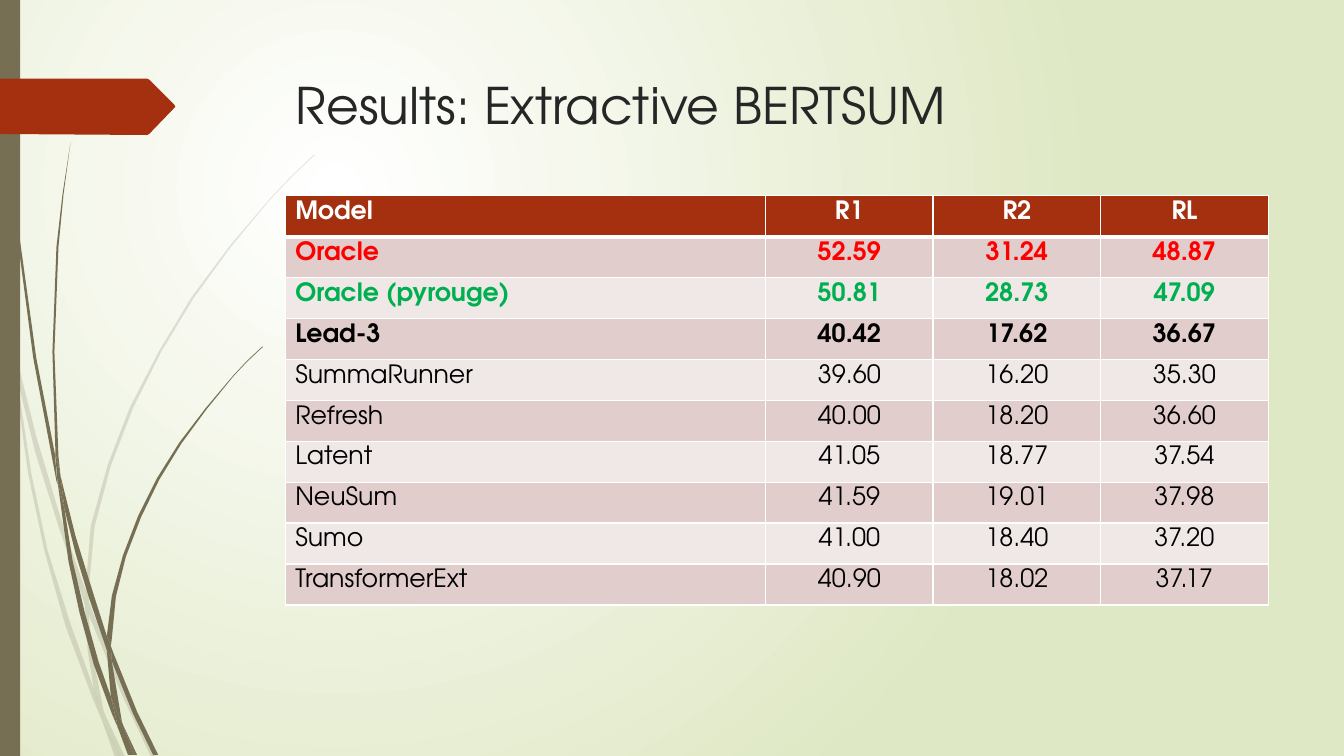
import dataclasses

import pptx
import pptx.dml.color
import pptx.enum.shapes
import pptx.enum.text
import pptx.oxml
import pptx.oxml.ns
import pptx.util

SHAPE = pptx.enum.shapes.MSO_SHAPE
ALIGN = pptx.enum.text.PP_ALIGN
ANCHOR = pptx.enum.text.MSO_ANCHOR
SIDE = pptx.util.Inches(0.1)  # one grid cell
COLS, ROWS = 133.33, 75


@dataclasses.dataclass(frozen=True)
class Theme:
    font: str = "TeX Gyre Adventor"
    title: int = 36
    body: int = 18
    ink: str = "262626"
    black: str = "000000"
    white: str = "FFFFFF"
    leaf: str = "DFE8C4"
    stem: str = "766F54"
    rust: str = "A53010"
    red: str = "FF0000"
    green: str = "00B050"
    bands: tuple = ("E1CDCC", "F0E8E7")


THEME = Theme()

# Each grass part is an outline: column, row, column, row, ... in grid cells.
PALE = [
    (1.1, 35, .9, 32.2, 0, 28.2, 0, 29.9, 1, 34.4),
    (5.8, 52.2, 8.4, 59.9, 8.5, 58.6, 6.2, 52, 3.6, 43.3, 1.4, 34.5,
     1.7, 37.6, 3.5, 44.9),
    (9.2, 60.7, 8.8, 59.6, 8.8, 61, 12.3, 69.4, 15, 75.1, 15.5, 75.1,
     12.7, 69.2),
    (11.9, 75.1, 12.4, 75.1, 10.5, 71.1),
    (9.3, 68.3, 7, 61.9, 4.7, 54.5, 3.1, 46.9, 1.7, 37.6, 1.1, 35, 2.8, 47,
     4.4, 54.6, 6.5, 62.1, 9.2, 69.3, 10.1, 71.4, 9.9, 70.7),
    (8.4, 59.9, 8.7, 64.6, 9.3, 68.3, 9.6, 69.2, 10.5, 71.1, 10.3, 70.6,
     9.1, 64.6, 8.8, 61, 8.8, 60.8),
    (8.8, 58.4, 9.4, 52.2, 11, 46.2, 13.2, 40.5, 16, 34.9, 19.2, 29.6,
     22.9, 24.5, 26.8, 19.8, 29, 17.5, 31.2, 15.4, 31.2, 15.3, 28.9, 17.5,
     26.8, 19.7, 22.8, 24.4, 19, 29.5, 15.8, 34.8, 12.9, 40.4, 10.7, 46.1,
     9, 52.2, 8.5, 58.4, 8.5, 58.6, 8.8, 59.6),
    (10.1, 71.4, 11.4, 75.1, 11.9, 75.1),
    (8.8, 60.8, 8.8, 61, 8.8, 59.6, 8.5, 58.6, 8.4, 59.9),
    (9.6, 69.2, 9.3, 68.3, 9.9, 70.7, 10.1, 71.4, 11.9, 75.1, 10.5, 71.1),
]
DARK = [
    (.7, 11, 1.7, 23.3, 3.3, 35.5, 5.6, 47.7, 5.7, 48.1, 5.5, 45.7, 5.5, 45.3,
     3.6, 35.5, 1.9, 23.2, .8, 10.9, .5, 4.8, .4, 0, .3, 0, .4, 4.8),
    (8.8, 59.2, 10.6, 64.5, 10.6, 63.1, 9.3, 59, 7.5, 53.2, 6, 47.2,
     6.4, 50.5, 7.5, 54.9),
    (11.3, 64.9, 11, 64.1, 11.1, 65.6, 13.2, 70.8, 15.2, 74.9, 15.7, 74.9,
     13.6, 70.6),
    (11, 69.1, 9.8, 65.7, 8.4, 60.7, 7.2, 55.6, 6.4, 50.5, 5.7, 47.7,
     6.8, 55.7, 7.9, 60.8, 9.3, 65.9, 11.1, 70.8, 11.7, 72.2, 11.6, 71.7),
    (6, 47.2, 5.8, 45.3, 5.4, 34.9, 5.8, 24.5, 6.3, 19.3, 7, 14.1, 6.2, 19.3,
     5.6, 24.5, 5.2, 34.9, 5.5, 44.9),
    (13.3, 74.9, 13.6, 74.9, 12.2, 71.9),
    (5.7, 47.7, 6.4, 50.5, 6, 47.2, 5.5, 44.9, 5.5, 45.3),
    (11.1, 63.3, 11.5, 59.2, 12.5, 55.2, 14, 51.3, 15.8, 47.6, 18, 44,
     20.5, 40.6, 23.1, 37.4, 24.5, 35.9, 26.1, 34.4, 26, 34.4, 24.5, 35.8,
     23.1, 37.3, 20.4, 40.5, 17.8, 43.9, 15.6, 47.4, 13.7, 51.2, 12.2, 55.1,
     11.1, 59.1, 10.6, 63.1, 11, 64.1),
    (11.7, 72.2, 12.7, 74.9, 13.1, 74.9),
    (10.6, 64.5, 11, 69.1, 11.6, 70.6, 12.2, 71.9, 12.1, 71.6, 11.1, 65.6,
     10.9, 65.1),
    (10.6, 64.5, 10.9, 65.1, 11.1, 65.6, 11, 64.1, 10.6, 63.1),
    (11.6, 70.6, 11, 69.1, 11.6, 71.7, 11.7, 72.2, 13, 74.9, 13.3, 74.9,
     12.2, 71.9),
]
TAG = (17.4, 10.6, 14.8, 13.3, 14.6, 13.4, 0, 13.3, 0, 7.8, 14.6, 7.8,
       14.8, 7.9, 17.3, 10.4)

SCORES = [
    ("Model", "R1", "R2", "RL"),
    ("Oracle", "52.59", "31.24", "48.87"),
    ("Oracle (pyrouge)", "50.81", "28.73", "47.09"),
    ("Lead-3", "40.42", "17.62", "36.67"),
    ("SummaRunner", "39.60", "16.20", "35.30"),
    ("Refresh", "40.00", "18.20", "36.60"),
    ("Latent", "41.05", "18.77", "37.54"),
    ("NeuSum", "41.59", "19.01", "37.98"),
    ("Sumo", "41.00", "18.40", "37.20"),
    ("TransformerExt", "40.90", "18.02", "37.17"),
]
INKS = [THEME.white, THEME.red, THEME.green]
STRONG = 4  # leading rows in bold


def grid(*cells):
    return [pptx.util.Emu(round(n * SIDE)) for n in cells]


def tint(code):
    return pptx.dml.color.RGBColor.from_string(code)


def node(tag, **marks):
    part = pptx.oxml.parse_xml(f"<{tag} {pptx.oxml.ns.nsdecls('a')}/>")
    for name, value in marks.items():
        part.set(name, str(value))
    return part


def write(frame, text, size=THEME.body, color=THEME.black, bold=False,
          align=ALIGN.LEFT):
    frame.paragraphs[0].alignment = align
    run = frame.paragraphs[0].add_run()
    run.text = text
    run.font.name, run.font.size = THEME.font, pptx.util.Pt(size)
    run.font.bold = bold
    run.font.color.rgb = tint(color)


def paint(shape, color, alpha=None):
    shape.shadow.inherit = False
    shape.fill.solid()
    shape.fill.fore_color.rgb = tint(color)
    shape.line.fill.background()
    if alpha:
        mark = next(shape.element.iter(pptx.oxml.ns.qn("a:srgbClr")))
        mark.append(node("a:alpha", val=alpha * 1000))


def glow(slide):
    """Fill the background with a round gradient."""
    fill = slide.background.fill
    fill.gradient()
    for stop, color in zip(fill.gradient_stops, (THEME.white, THEME.leaf)):
        stop.color.rgb = tint(color)
    line = next(slide.element.iter(pptx.oxml.ns.qn("a:lin")))
    ring = node("a:path", path="circle")
    ring.append(node("a:fillToRect", l=50000, t=50000, r=100000, b=100000))
    line.getparent().replace(line, ring)


def patch(slide, line, color, alpha=None):
    dots = [grid(*dot) for dot in zip(line[::2], line[1::2])]
    pen = slide.shapes.build_freeform(*dots[0])
    pen.add_line_segments(dots[1:], close=True)
    paint(pen.convert_to_shape(), color, alpha)


def head(slide, text):
    title = slide.shapes.title
    title.left, title.top, title.width, title.height = grid(
        28.35, 6.85, 97.5, 14)
    frame = title.text_frame
    frame.word_wrap = True
    frame.auto_size = pptx.enum.text.MSO_AUTO_SIZE.NONE
    frame.vertical_anchor = ANCHOR.TOP
    write(frame, text, size=THEME.title, color=THEME.ink)


def rule(cell, **sides):
    """Draw white cell borders, with widths in points by side."""
    props = cell._tc.get_or_add_tcPr()
    for place, side in enumerate("LRTB"):
        line = node(f"a:ln{side}", w=pptx.util.Pt(sides.get(side, 1)))
        fill = node("a:solidFill")
        fill.append(node("a:srgbClr", val=THEME.white))
        line.append(fill)
        props.insert(place, line)


def chart(slide, rows):
    """Set the score table, one model a row."""
    wide, slim, tall = 47.65, 16.62, 4.06
    count = len(rows[0])
    table = slide.shapes.add_table(len(rows), count, *grid(
        28.3, 19.42, wide + slim * (count - 1), tall * len(rows))).table
    for col, width in zip(table.columns, grid(wide, *[slim] * (count - 1))):
        col.width = width
    for r, row in enumerate(rows):
        table.rows[r].height = grid(tall)[0]
        for c, text in enumerate(row):
            cell = table.cell(r, c)
            cell.vertical_anchor = ANCHOR.TOP
            cell.fill.solid()
            cell.fill.fore_color.rgb = tint(
                THEME.bands[(r - 1) % 2] if r else THEME.rust)
            rule(cell, B=1 if r else 3, T=3 if r == 1 else 1)
            write(cell.text_frame, text, bold=r < STRONG,
                  color=INKS[r] if r < len(INKS) else THEME.black,
                  align=ALIGN.CENTER if c else ALIGN.LEFT)


def main():
    deck = pptx.Presentation()
    deck.slide_width, deck.slide_height = grid(COLS, ROWS)
    slide = deck.slides.add_slide(deck.slide_layouts[5])
    glow(slide)
    for line in PALE:
        patch(slide, line, THEME.stem, alpha=20)
    for line in DARK:
        patch(slide, line, THEME.stem)
    band = slide.shapes.add_shape(SHAPE.RECTANGLE, *grid(0, 0, 2, ROWS))
    paint(band, THEME.stem)
    patch(slide, TAG, THEME.rust)
    head(slide, "Results: Extractive BERTSUM")
    chart(slide, SCORES)
    deck.save("out.pptx")


if __name__ == "__main__":
    main()
